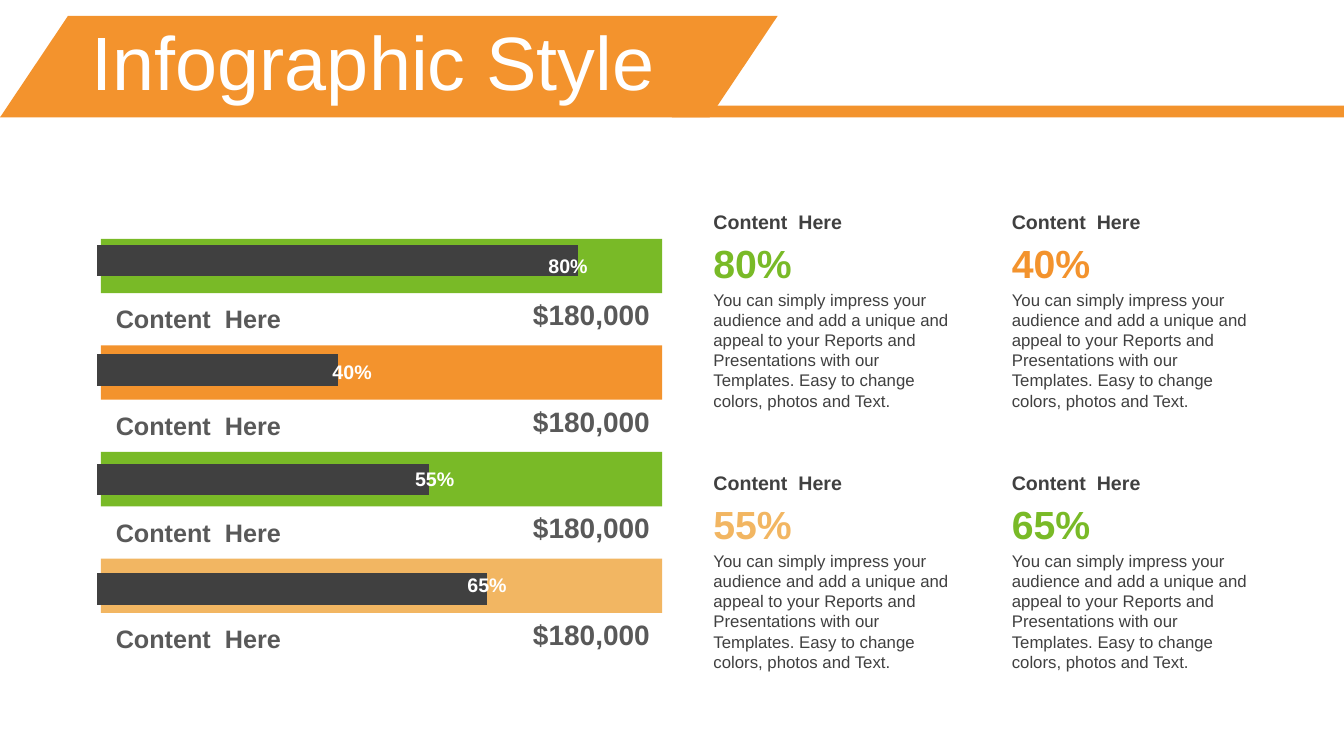
from collections import namedtuple

from lxml.etree import SubElement
from pptx import Presentation
from pptx.chart.data import CategoryChartData
from pptx.dml.color import RGBColor
from pptx.enum.chart import XL_CHART_TYPE
from pptx.enum.shapes import MSO_SHAPE
from pptx.enum.text import MSO_ANCHOR, MSO_AUTO_SIZE, PP_ALIGN
from pptx.oxml.ns import qn
from pptx.util import Cm, Pt

ORANGE = RGBColor(0xF3, 0x93, 0x2D)
GREEN = RGBColor(0x79, 0xBA, 0x27)
SAND = RGBColor(0xF2, 0xB6, 0x62)
DARK = RGBColor(0x40, 0x40, 0x40)
GREY = RGBColor(0x59, 0x59, 0x59)
BLACK = RGBColor(0x00, 0x00, 0x00)
WHITE = RGBColor(0xFF, 0xFF, 0xFF)
FONT = "Arial"

HEADING = "Content  Here"
AMOUNT = "$180,000"
DESCRIPTION = (
    "You can simply impress your audience and add a unique and appeal to your "
    "Reports and Presentations with our Templates. Easy to change colors, "
    "photos and Text."
)

Box = namedtuple("Box", "left top width height")
Bar = namedtuple("Bar", "color percent percent_left value")
Card = namedtuple("Card", "percent color")

BARS = [
    Bar(GREEN, "80%", 10.85, 100),
    Bar(ORANGE, "40%", 5.41, 50),
    Bar(GREEN, "55%", 7.49, 69),
    Bar(SAND, "65%", 8.81, 81),
]
CARDS = [Card("80%", GREEN), Card("40%", ORANGE), Card("55%", SAND), Card("65%", GREEN)]


def lengths(box):
    """Return the box as four lengths."""
    return [Cm(value) for value in box]


def style_font(font, size, color, bold=False):
    """Set the typeface, size, colour and weight of a font."""
    font.name = FONT
    font.size = Pt(size)
    font.bold = bold
    font.color.rgb = color


def add_block(shapes, kind, box, color):
    """Add a flat shape without outline or shadow."""
    shape = shapes.add_shape(kind, *lengths(box))
    shape.shadow.inherit = False
    shape.fill.solid()
    shape.fill.fore_color.rgb = color
    shape.line.fill.background()
    return shape


def add_text(shapes, box, text, size, color, bold=True,
             anchor=MSO_ANCHOR.MIDDLE, alignment=PP_ALIGN.LEFT):
    """Add a wrapped text box with one paragraph."""
    frame = shapes.add_textbox(*lengths(box)).text_frame
    frame.word_wrap = True
    frame.vertical_anchor = anchor
    paragraph = frame.paragraphs[0]
    paragraph.text = text
    paragraph.alignment = alignment
    style_font(paragraph.font, size, color, bold)


def add_banner(slide, box):
    """Draw the header band and place the title on it."""
    middle = box.width / 2
    stripe = Box(box.left + middle, box.top + 2.26, middle, 0.3)
    add_block(slide.shapes, MSO_SHAPE.RECTANGLE, stripe, ORANGE)
    slanted = Box(box.left, box.top, 19.6, box.height)
    parallelogram = add_block(slide.shapes, MSO_SHAPE.PARALLELOGRAM, slanted, ORANGE)
    parallelogram.adjustments[0] = 0.67

    title = slide.shapes.title
    title.element.getparent().append(title.element)
    title.left, title.top, title.width, title.height = lengths(
        Box(box.left + 2.06, box.top + 0.25, 31.09, 2.01))
    frame = title.text_frame
    frame.text = "Infographic Style"
    frame.auto_size = MSO_AUTO_SIZE.NONE
    frame.vertical_anchor = MSO_ANCHOR.MIDDLE
    paragraph = frame.paragraphs[0]
    paragraph.alignment = PP_ALIGN.LEFT
    paragraph.line_spacing = 0.9
    paragraph.space_before = Pt(10)
    style_font(paragraph.font, 54, WHITE)


def fix_plot_area(chart):
    """Give the plot area an even margin inside the chart."""
    plot_area = next(chart.element.iter(qn("c:plotArea")))
    layout = plot_area.find(qn("c:layout"))
    if layout is None:
        layout = SubElement(plot_area, qn("c:layout"))
        plot_area.insert(0, layout)
    manual = SubElement(layout, qn("c:manualLayout"))
    settings = [("layoutTarget", "inner"), ("xMode", "edge"), ("yMode", "edge"),
                ("x", "0.02"), ("y", "0.02"), ("w", "0.96"), ("h", "0.96")]
    for name, value in settings:
        SubElement(manual, qn(f"c:{name}")).set("val", value)


def add_bar_chart(slide, box):
    """Add the dark bars as a stacked bar chart without axes."""
    data = CategoryChartData()
    data.categories = [str(number) for number in range(1, len(BARS) + 1)]
    data.add_series("Series 1", [bar.value for bar in reversed(BARS)])
    chart = slide.shapes.add_chart(
        XL_CHART_TYPE.BAR_STACKED, *lengths(box), data).chart
    style_font(chart.font, 18, BLACK)
    chart.has_legend = False
    chart.has_title = False
    chart.category_axis.visible = False
    chart.value_axis.visible = False
    chart.value_axis.has_major_gridlines = False
    chart.value_axis.minimum_scale = 0
    chart.value_axis.maximum_scale = 112.5
    plot = chart.plots[0]
    plot.vary_by_categories = False
    plot.gap_width = 250
    plot.overlap = 100
    series = plot.series[0]
    series.format.fill.solid()
    series.format.fill.fore_color.rgb = DARK
    fix_plot_area(chart)


def add_progress_panel(slide, box):
    """Draw the coloured bars, the chart over them and their captions."""
    shapes = slide.shapes
    pitch = box.height / len(BARS)
    tops = [box.top + index * pitch for index in range(len(BARS))]
    for bar, top in zip(BARS, tops):
        add_block(shapes, MSO_SHAPE.RECTANGLE,
                  Box(box.left, top, box.width, 1.37), bar.color)
    add_bar_chart(slide, Box(box.left - 0.38, box.top - 1.07, 14.22, 11.51))
    for bar, top in zip(BARS, tops):
        add_text(shapes, Box(box.left + 0.13, top + 1.51, 5.59, 0.76),
                 HEADING, 18, GREY, anchor=MSO_ANCHOR.TOP)
        add_text(shapes, Box(box.left + 10.36, top + 1.34, 3.73, 1.12),
                 AMOUNT, 20, GREY, alignment=PP_ALIGN.RIGHT)
        add_text(shapes, Box(box.left + bar.percent_left, top + 0.24, 1.85, 0.86),
                 bar.percent, 14, WHITE, alignment=PP_ALIGN.CENTER)


def add_card(slide, box, card):
    """Add one group of heading, description and percentage."""
    shapes = slide.shapes.add_group_shape().shapes
    add_text(shapes, Box(box.left, box.top, box.width, 0.86), HEADING, 14, DARK)
    add_text(shapes, Box(box.left, box.top + 2.01, box.width, box.height - 2.01),
             DESCRIPTION, 12, DARK, bold=False, anchor=MSO_ANCHOR.TOP)
    add_text(shapes, Box(box.left, box.top + 0.74, box.width, 1.45),
             card.percent, 28, card.color)


def add_card_grid(slide, box):
    """Place the cards in two columns and two rows."""
    card_width, card_height = 6.69, 5.34
    for index, card in enumerate(CARDS):
        row, column = divmod(index, 2)
        left = box.left + column * (box.width - card_width)
        top = box.top + row * (box.height - card_height)
        add_card(slide, Box(left, top, card_width, card_height), card)


def main():
    """Build the slide and save the presentation."""
    presentation = Presentation()
    presentation.slide_width = Cm(33.87)
    presentation.slide_height = Cm(19.05)
    slide = presentation.slides.add_slide(presentation.slide_layouts[5])
    add_banner(slide, Box(0, 0.4, 33.87, 2.56))
    add_card_grid(slide, Box(17.73, 5.16, 14.21, 11.92))
    add_progress_panel(slide, Box(2.54, 6.02, 14.15, 10.74))
    presentation.save("out.pptx")


if __name__ == "__main__":
    main()
